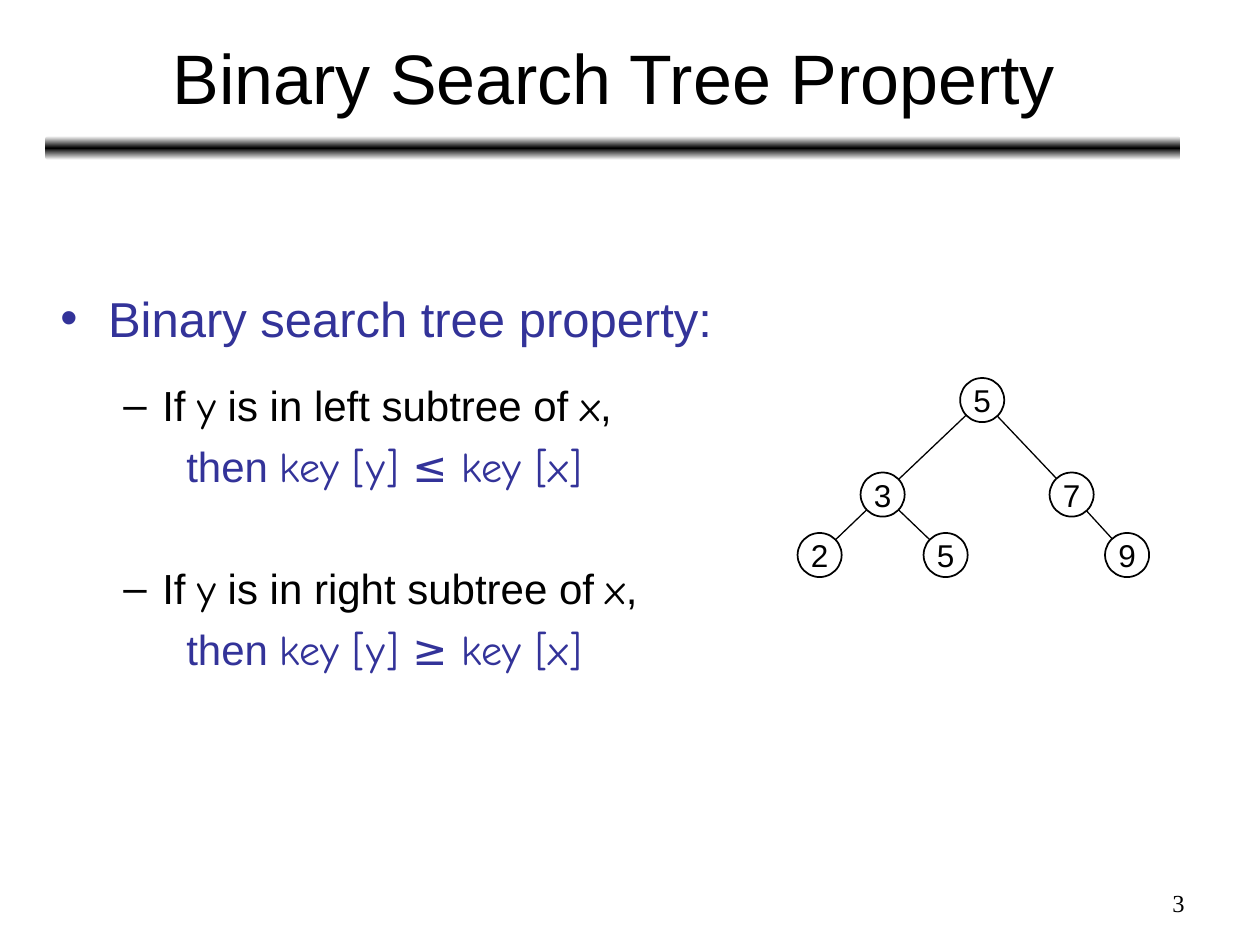
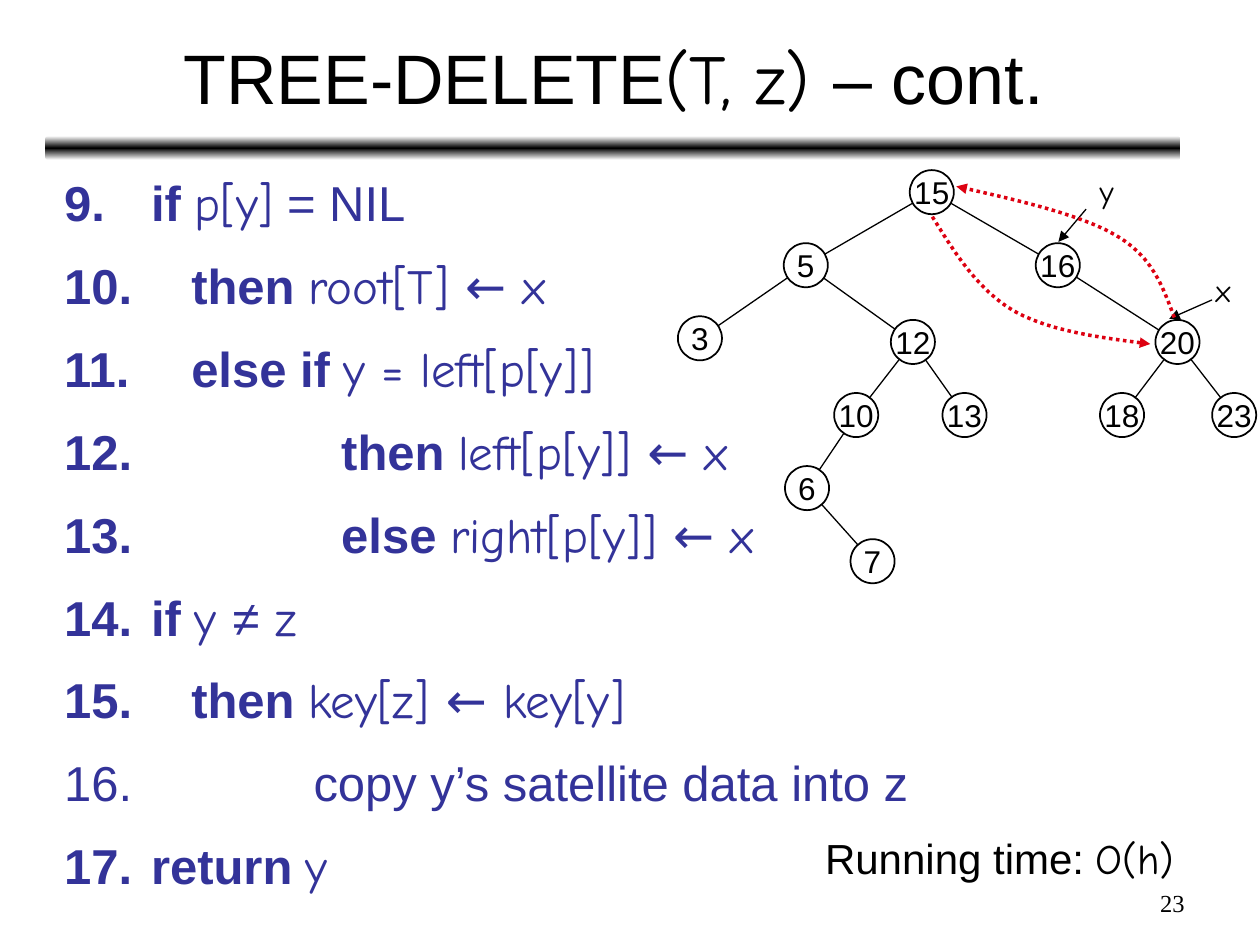
from copy import deepcopy
from dataclasses import dataclass
from math import hypot

from lxml import etree
from pptx import Presentation
from pptx.dml.color import RGBColor
from pptx.enum.dml import MSO_LINE
from pptx.enum.shapes import MSO_CONNECTOR, MSO_SHAPE
from pptx.enum.text import MSO_ANCHOR, PP_ALIGN
from pptx.oxml.ns import qn
from pptx.util import Inches, Pt

STRAIGHT = MSO_CONNECTOR.STRAIGHT
CIRCLE, BAND = MSO_SHAPE.OVAL, MSO_SHAPE.ROUNDED_RECTANGLE
DOTTED = MSO_LINE.ROUND_DOT
TOP, MIDDLE = MSO_ANCHOR.TOP, MSO_ANCHOR.MIDDLE
LEFT, CENTER, RIGHT = PP_ALIGN.LEFT, PP_ALIGN.CENTER, PP_ALIGN.RIGHT


@dataclass(frozen=True)
class Theme:
    black: RGBColor = RGBColor(0, 0, 0)
    white: RGBColor = RGBColor(255, 255, 255)
    blue: RGBColor = RGBColor(0x33, 0x33, 0x99)
    red: RGBColor = RGBColor(0xDD, 0x01, 0x11)
    sans: str = "Arial"
    comic: str = "Comic Neue"
    serif: str = "Times New Roman"
    title: int = 40
    body: int = 28
    sub: int = 24
    node: int = 18
    number: int = 14


theme = Theme()

# Grid of 100 columns by 75 rows; all places below are in its cells
deck = Presentation()
deck.slide_width, deck.slide_height = Inches(10), Inches(7.5)
CELL = deck.slide_width // 100
NODE = 3.5

# Run kinds: font and weight
SANS, BOLD = (theme.sans, False), (theme.sans, True)
COMIC, SERIF = (theme.comic, False), (theme.serif, False)


def add_frame(slide, box, anchor=TOP):
    left, top, width, height = (int(v * CELL) for v in box)
    frame = slide.shapes.add_textbox(left, top, width, height).text_frame
    frame.word_wrap = True
    frame.vertical_anchor = anchor
    return frame


def add_runs(paragraph, runs, size, color=theme.black, align=LEFT):
    paragraph.alignment = align
    for text, (font, bold) in runs:
        run = paragraph.add_run()
        run.text = text
        run.font.name, run.font.bold = font, bold
        run.font.size = Pt(size)
        run.font.color.rgb = color


# Property slide: indent, hanging, bullet, space before, size, colour, runs
property_lines = [
    (3.8, 3.8, "•", 7, theme.body, theme.blue, [("Binary search tree property:", SANS)])]
for side, sign, gap in (("left", "≤", 18.5), ("right", "≥", 40.8)):
    property_lines += [
        (8.1, 3.1, "–", gap, theme.sub, theme.black,
         [("If ", SANS), ("y", COMIC), (f" is in {side} subtree of ", SANS),
          ("x", COMIC), (",", SANS)]),
        (10, 0, None, 6, theme.sub, theme.blue,
         [("then ", SANS), (f"key [y] {sign} key [x]", COMIC)])]

# Delete slide: numbered code, each line with its indent
OUTER, INNER, COPY, NESTED = 6.9, 10.1, 19.8, 22
code = [
    (OUTER, [("if ", BOLD), ("p[y]", COMIC), (" = NIL", SANS)]),
    (INNER, [("then ", BOLD), ("root[T] ← x", COMIC)]),
    (INNER, [("else if ", BOLD), ("y = left[p[y]]", COMIC)]),
    (NESTED, [("then ", BOLD), ("left[p[y]] ← x", COMIC)]),
    (NESTED, [("else ", BOLD), ("right[p[y]] ← x", COMIC)]),
    (OUTER, [("if ", BOLD), ("y ", COMIC), ("≠", SANS), (" z", COMIC)]),
    (INNER, [("then ", BOLD), ("key[z] ← key[y]", COMIC)]),
    (COPY, [("copy y’s satellite data into z", SANS)]),
    (OUTER, [("return ", BOLD), ("y", COMIC)]),
]
code_lines = [(indent, indent, "9", 7, theme.body, theme.blue, runs)
              for indent, runs in code]

# Trees: key, centre column, centre row, index of the parent
property_tree = [
    ("5", 77.95, 31.75, None), ("3", 70.05, 39.25, 0), ("7", 85.05, 39.25, 0),
    ("2", 65.05, 44.05, 1), ("5", 75.05, 44.05, 1), ("9", 89.45, 44.05, 2)]
delete_tree = [
    (key, column, 15.25 + 5.8 * level, parent)
    for key, column, level, parent in [
        ("15", 73.95, 0, None), ("5", 63.95, 1, 0), ("16", 83.95, 1, 0),
        ("3", 55.55, 2, 1), ("12", 72.45, 2.05, 1), ("20", 93.45, 2.05, 2),
        ("10", 67.95, 3.05, 4), ("13", 76.55, 3.05, 4),
        ("18", 89.05, 3.05, 5), ("23", 97.95, 3.05, 5),
        ("6", 64.05, 4.05, 6), ("7", 69.25, 5.05, 10)]]

pages = [
    dict(title=[("Binary Search Tree Property", SANS)], number="3",
         box=(3.8, 22.4, 61.2, 40.9), lines=property_lines, spacing=1.0,
         tree=property_tree, pointers=[], labels=[], moves=[]),
    dict(title=[("TREE-DELETE", SANS), ("(T, z) ", COMIC), ("– cont.", SANS)],
         number="23", box=(4.1, 12.3, 72.5, 60.5), lines=code_lines, spacing=1.2,
         tree=delete_tree,
         pointers=[((86.2, 16.6), (84, 19.2)), ((96.2, 23.8), (92.8, 25.3))],
         labels=[((86.3, 13.2, 3.3, 4), theme.node, [("y", COMIC)]),
                 ((95.5, 21, 3.3, 4), theme.node, [("x", COMIC)]),
                 ((64.5, 65.6, 31, 5), theme.sub,
                  [("Running time: ", SANS), ("O(h)", COMIC)])],
         # Each move: two cubic curves that share their middle point
         moves=[[(74, 17.2), (75.8, 20.1), (77.6, 23), (80.5, 24.7),
                 (83.4, 26.3), (87.3, 26.8), (91.3, 27.3)],
                [(93.2, 25.2), (92.3, 22.8), (91.5, 20.4), (88.6, 18.7),
                 (85.7, 17), (80.8, 15.9), (75.9, 14.8)]]),
]

for page in pages:
    slide = deck.slides.add_slide(deck.slide_layouts[6])
    shapes = slide.shapes

    # Band under the title
    band = shapes.add_shape(BAND, *(int(v * CELL) for v in (3.6, 10.8, 90.1, 1.9)))
    band.shadow.inherit = False
    band.line.fill.background()
    band.fill.gradient()
    band.fill.gradient_angle = 90
    stop_list = band._element.spPr.find(".//" + qn("a:gsLst"))
    stop_list.insert(1, deepcopy(stop_list[0]))
    shades = (theme.white, theme.black, theme.white)
    for stop, place, shade in zip(band.fill.gradient_stops, (0, 0.5, 1), shades):
        stop.position = place
        stop.color.rgb = shade

    # Title and slide number
    title = add_frame(slide, (3.7, 1.1, 90, 9.9), MIDDLE)
    add_runs(title.paragraphs[0], page["title"], theme.title, align=CENTER)
    number = add_frame(slide, (71.7, 70, 23.3, 3.5))
    add_runs(number.paragraphs[0], [(page["number"], SERIF)], theme.number, align=RIGHT)

    # Body lines with their bullets or numbers
    body = add_frame(slide, page["box"])
    for i, (indent, hanging, bullet, before, size, color, runs) in enumerate(page["lines"]):
        line = body.add_paragraph() if i else body.paragraphs[0]
        add_runs(line, runs, size, color)
        line.space_before = Pt(before)
        line.line_spacing = page["spacing"]
        props = line._p.get_or_add_pPr()
        props.set("marL", str(int(indent * CELL)))
        props.set("indent", str(-int(hanging * CELL)))
        if bullet:
            tint = etree.SubElement(props, qn("a:buClr"))
            etree.SubElement(tint, qn("a:srgbClr"), val=str(color))
            etree.SubElement(props, qn("a:buFont"), typeface=theme.sans)
            if bullet.isdigit():
                etree.SubElement(props, qn("a:buAutoNum"), type="arabicPeriod", startAt=bullet)
            else:
                etree.SubElement(props, qn("a:buChar"), char=bullet)

    # Tree edges run from rim to rim; pointers end in an arrowhead
    links = [(start, end, True) for start, end in page["pointers"]]
    for key, x, y, parent in page["tree"]:
        if parent is not None:
            _, px, py, _ = page["tree"][parent]
            share = NODE / 2 / hypot(x - px, y - py)
            dx, dy = (x - px) * share, (y - py) * share
            links.append(((px + dx, py + dy), (x - dx, y - dy), False))
    for start, end, arrow in links:
        link = shapes.add_connector(STRAIGHT, *(int(v * CELL) for v in start + end))
        link.line.color.rgb = theme.black
        link.line.width = Pt(0.75)
        props = link._element.spPr
        if arrow:
            etree.SubElement(props.find(qn("a:ln")), qn("a:tailEnd"), type="triangle")
        etree.SubElement(props, qn("a:effectLst"))

    # Tree nodes
    for key, x, y, _ in page["tree"]:
        node = shapes.add_shape(CIRCLE, *(
            int(v * CELL) for v in (x - NODE / 2, y - NODE / 2, NODE, NODE)))
        node.shadow.inherit = False
        node.fill.solid()
        node.fill.fore_color.rgb = theme.white
        node.line.color.rgb = theme.black
        node.line.width = Pt(1)
        node.text_frame.word_wrap = False
        node.text_frame.vertical_anchor = MIDDLE
        add_runs(node.text_frame.paragraphs[0], [(key, SANS)], theme.node, align=CENTER)

    # Free labels
    for box, size, runs in page["labels"]:
        add_runs(add_frame(slide, box).paragraphs[0], runs, size)

    # Dotted moves between the nodes
    for knots in page["moves"]:
        points = []
        for first in (0, 3):
            a, b, c, d = knots[first:first + 4]
            for step in range(1, 13):
                t = step / 12
                points.append(tuple(
                    int(CELL * ((1 - t) ** 3 * p + 3 * t * (1 - t) ** 2 * q
                                + 3 * t ** 2 * (1 - t) * r + t ** 3 * s))
                    for p, q, r, s in zip(a, b, c, d)))
        outline = shapes.build_freeform(*(int(v * CELL) for v in knots[0]))
        outline.add_line_segments(points, close=False)
        move = outline.convert_to_shape()
        move.shadow.inherit = False
        move.fill.background()
        move.line.color.rgb = theme.red
        move.line.width = Pt(2)
        move.line.dash_style = DOTTED
        etree.SubElement(move._element.spPr.find(qn("a:ln")), qn("a:tailEnd"), type="triangle")

deck.save("out.pptx")
